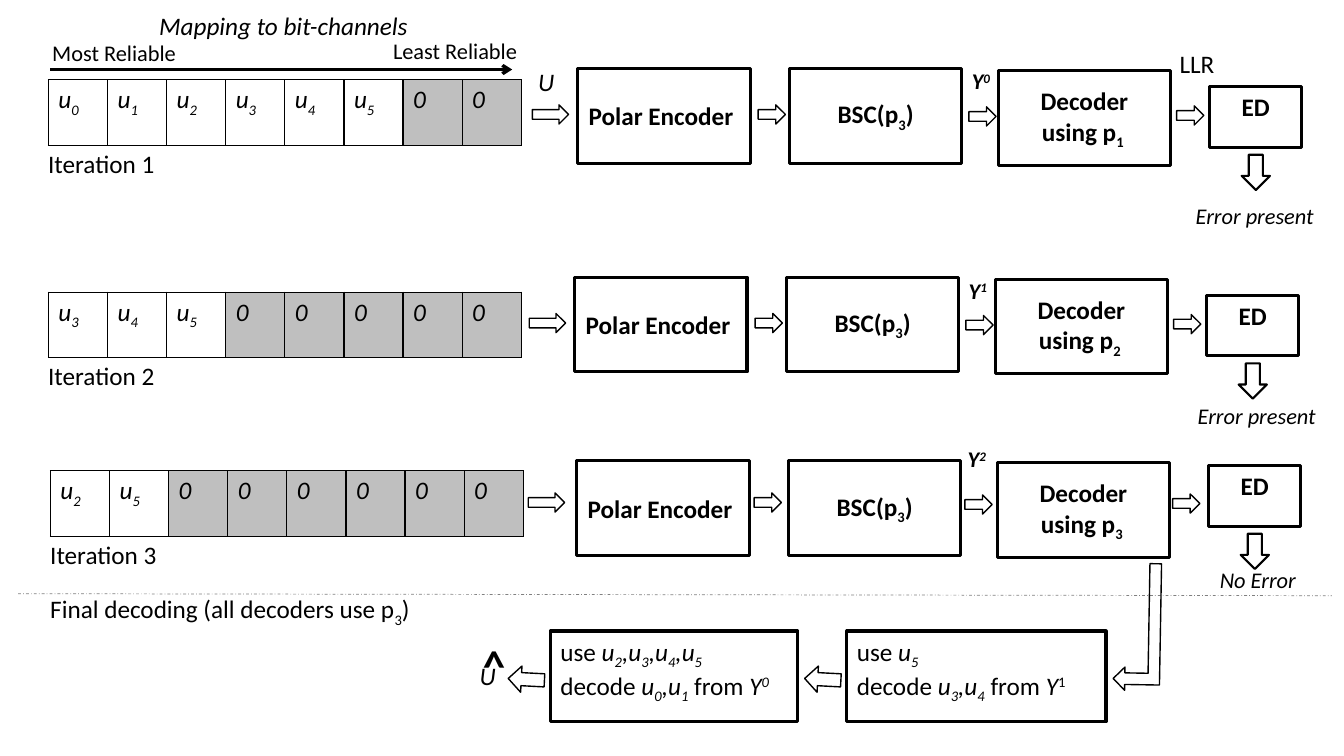
from dataclasses import dataclass

from pptx import Presentation
from pptx.dml.color import RGBColor as RGB
from pptx.enum.dml import MSO_LINE
from pptx.enum.shapes import MSO_CONNECTOR, MSO_SHAPE as SHAPE
from pptx.enum.text import MSO_ANCHOR as ANCHOR, PP_ALIGN as ALIGN
from pptx.oxml import parse_xml
from pptx.oxml.ns import nsdecls, qn
from pptx.oxml.xmlchemy import OxmlElement
from pptx.util import Inches, Pt


@dataclass(frozen=True)
class Theme:
    font: str = "Calibri"
    ink: str = "000000"
    frozen: str = "BFBFBF"
    rule: str = "808080"
    body: int = 18
    small: int = 16
    hat: int = 32
    thick: float = 2.25
    medium: float = 1.5
    thin: float = 1


T = Theme()


@dataclass
class Iteration:
    number: int
    left: float
    top: float
    bits: str          # indices of the information bits
    table: tuple       # offsets from the encoder's corner
    received: tuple
    verdict_at: tuple
    verdict: str
    ed_dy: float = 0.18
    arrow_shift: tuple = (0, 0)


ITERATIONS = [
    Iteration(1, 5.73, 0.68, "012345", (-5.25, 0.11), (3.81, -0.06),
              (6.03, 1.28), "Error present "),
    Iteration(2, 5.7, 2.75, "345", (-5.22, 0.15), (3.81, -0.05),
              (6.08, 1.19), "Error present "),
    Iteration(3, 5.72, 4.57, "25", (-5.22, 0.1), (3.78, -0.2),
              (6.28, 1), "No Error ", 0.05, (-0.03, -0.04)),
]


def write(tf, text, size=T.body, bold=False, align=ALIGN.LEFT):
    """Markup: * toggles italic, _ lowers and ~ raises the next character."""
    italic = False
    for i, line in enumerate(text.split("\n")):
        p = tf.paragraphs[0] if i == 0 else tf.add_paragraph()
        p.alignment = align
        runs, shift = [], 0
        for ch in line:
            if ch == "*":
                italic = not italic
            elif ch in "_~":
                shift = -25000 if ch == "_" else 30000
            else:
                style = (italic, shift)
                if runs and runs[-1][1] == style:
                    runs[-1][0] += ch
                else:
                    runs.append([ch, style])
                shift = 0
        for words, (slanted, base) in runs:
            r = p.add_run()
            r.text = words
            f = r.font
            f.name, f.size, f.bold, f.italic = T.font, Pt(size), bold, slanted
            f.color.rgb = RGB.from_string(T.ink)
            if base:
                f._element.set("baseline", str(base))


def label(s, x, y, w, h, text, size=T.body, bold=False):
    tf = s.shapes.add_textbox(*map(Inches, (x, y, w, h))).text_frame
    tf.word_wrap = True
    write(tf, text, size, bold)


def outline(s, kind, x, y, w, h, weight, rotation=0):
    sp = s.shapes.add_shape(kind, *map(Inches, (x, y, w, h)))
    sp.shadow.inherit = False
    sp.fill.background()
    sp.line.color.rgb = RGB.from_string(T.ink)
    sp.line.width = Pt(weight)
    sp.rotation = rotation
    return sp


def box(s, x, y, w, h, text, bold=True, align=ALIGN.CENTER, anchor=ANCHOR.TOP):
    tf = outline(s, SHAPE.RECTANGLE, x, y, w, h, T.thick).text_frame
    tf.word_wrap = True
    tf.vertical_anchor = anchor
    write(tf, text, bold=bold, align=align)


def arrow(s, x, y, w, h, weight=T.thin, rotation=0):
    outline(s, SHAPE.RIGHT_ARROW, x, y, w, h, weight, rotation)


def rule(s, start, end, color, weight):
    ln = s.shapes.add_connector(MSO_CONNECTOR.STRAIGHT, *map(Inches, start + end))
    ln.line.color.rgb = RGB.from_string(color)
    ln.line.width = Pt(weight)
    ln.element.spPr.append(OxmlElement("a:effectLst"))
    return ln


def border(cell):
    tcPr = cell._tc.get_or_add_tcPr()
    for i, side in enumerate(("lnL", "lnR", "lnT", "lnB")):
        tcPr.insert(i, parse_xml(
            f'<a:{side} {nsdecls("a")} w="{Pt(T.thin)}"><a:solidFill>'
            f'<a:srgbClr val="{T.ink}"/></a:solidFill></a:{side}>'))


def bit_table(s, x, y, bits, columns=8, w=4.69, h=0.65):
    tbl = s.shapes.add_table(1, columns, *map(Inches, (x, y, w, h))).table
    tbl.first_row = tbl.horz_banding = False
    for i, cell in enumerate(tbl.rows[0].cells):
        tbl.columns[i].width = Inches(w / columns)
        if i < len(bits):
            cell.fill.background()
            write(cell.text_frame, f"*u_{bits[i]}")
        else:
            cell.fill.solid()
            cell.fill.fore_color.rgb = RGB.from_string(T.frozen)
            write(cell.text_frame, "*0")
        border(cell)


def iteration_row(s, it):
    x, y = it.left, it.top
    # Input bits
    tx, ty = x + it.table[0], y + it.table[1]
    bit_table(s, tx, ty, it.bits)
    label(s, tx - 0.1, ty + 0.63, 1.47, 0.6, f"Iteration {it.number}")
    # Processing chain
    stages = [(0, 0, "Polar Encoder "), (2.1, 0, "BSC(p_3)"),
              (4.17, 0.02, f"Decoder\nusing p_{it.number}_ ")]
    for dx, dy, text in stages:
        box(s, x + dx, y + dy, 1.71, 0.94, text, anchor=ANCHOR.MIDDLE)
    ax, ay = x + it.arrow_shift[0], y + it.arrow_shift[1]
    for dx, dy, w in [(-0.45, 0.36, 0.36), (1.79, 0.36, 0.27),
                      (3.88, 0.38, 0.27), (5.94, 0.37, 0.27)]:
        arrow(s, ax + dx, ay + dy, w, 0.19)
    label(s, x + it.received[0], y + it.received[1], 0.54, 0.55,
          f"*Y~{it.number - 1}", T.small, True)
    # Error detection
    ex, ey = x + 6.27, y + it.ed_dy
    box(s, ex, ey, 0.91, 0.6, "ED")
    arrow(s, ex + 0.28, ey + 0.71, 0.35, 0.28, T.medium, 90)
    label(s, x + it.verdict_at[0], y + it.verdict_at[1], 1.6, 0.55,
          "*" + it.verdict, T.small)


def mapping_header(s, x, y):
    label(s, x + 1.06, y, 2.73, 0.6, "*Mapping to bit-channels")
    label(s, x, y + 0.29, 1.57, 0.55, "Most Reliable", T.small)
    label(s, x + 3.38, y + 0.27, 1.57, 0.55, "Least Reliable", T.small)
    ln = rule(s, (x + 0.08, y + 0.64), (x + 4.66, y + 0.64), T.ink, T.thick)
    tail = OxmlElement("a:tailEnd")
    tail.set("type", "arrow")
    ln.line._get_or_add_ln().append(tail)
    # Signal names along the first chain
    label(s, x + 4.82, y + 0.56, 0.54, 0.6, "*U")
    label(s, x + 11.18, y + 0.38, 0.79, 0.6, "LLR")


def final_decoding(s, x, y):
    ln = rule(s, (x, y), (x + 13.03, y + 0.02), T.rule, 0.5)
    ln.line.dash_style = MSO_LINE.DASH_DOT
    label(s, x + 0.22, y - 0.05, 4.4, 0.6, "Final decoding (all decoders use p_3)")
    # Decoding steps, right to left
    for dx, w, text in [
            (8.22, 2.57, "use *u_5_ \n*decode *u_3,u_4* from *Y*~1~ "),
            (5.28, 2.45, "use* u_2,u_3,u_4,u_5_ \n*decode *u_0,u_1* from *Y~0")]:
        box(s, x + dx, y + 0.37, w, 0.9, text, False, ALIGN.LEFT)
        arrow(s, x + dx - 0.42, y + 0.72, 0.36, 0.26, rotation=183)
    bent = outline(s, SHAPE.BENT_UP_ARROW, x + 10.47, y + 0.1, 1.26, 0.46,
                   T.thin, 271)
    bent.element.spPr.find(qn("a:xfrm")).set("flipH", "1")
    # Estimate of U
    label(s, x + 4.48, y + 0.61, 0.54, 0.6, "*U")
    label(s, x + 4.51, y + 0.39, 0.41, 1, "^", T.hat, True)


prs = Presentation()
prs.slide_width, prs.slide_height = Inches(13.33), Inches(7.5)
s = prs.slides.add_slide(prs.slide_layouts[6])
mapping_header(s, 0.42, 0.05)
for it in ITERATIONS:
    iteration_row(s, it)
final_decoding(s, 0.18, 5.89)
prs.save("out.pptx")
